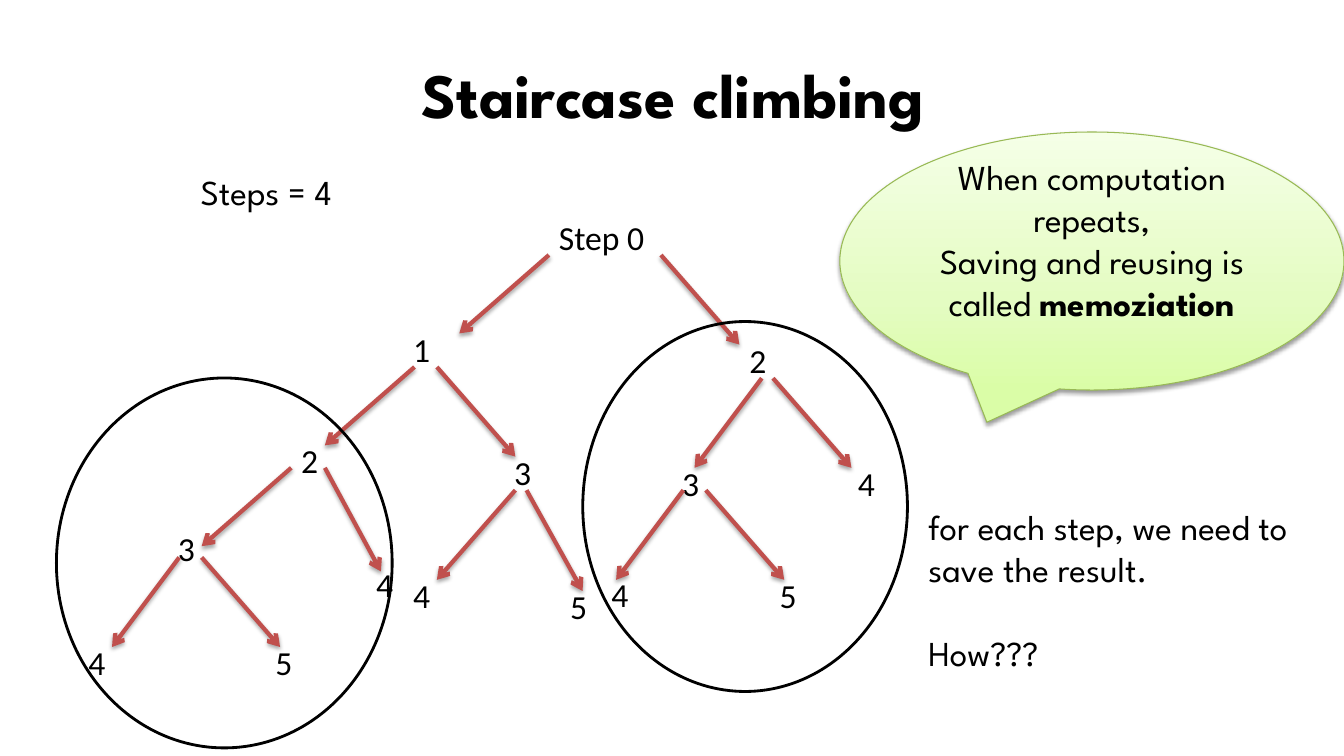
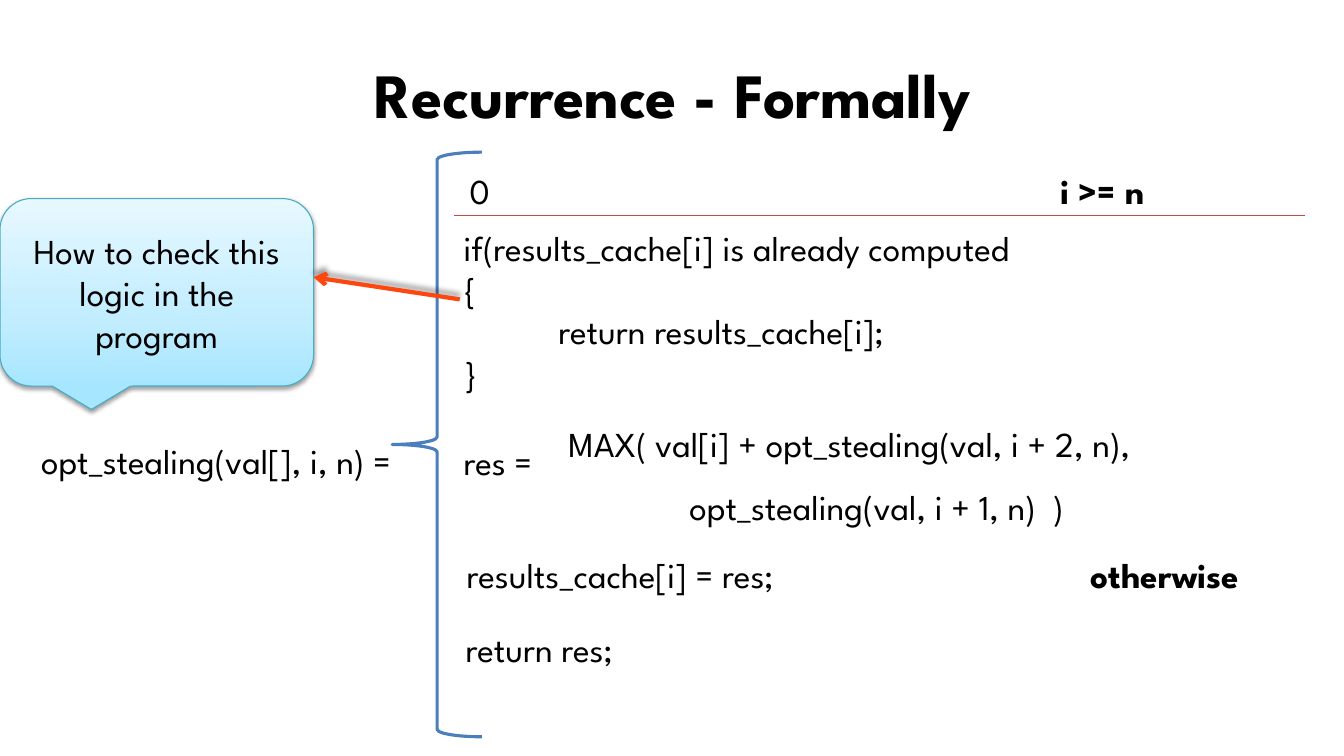
"""Build two lecture slides on memoization: a call tree and a recurrence."""
from lxml.etree import SubElement
from copy import deepcopy
from pptx import Presentation
from pptx.dml.color import RGBColor
from pptx.enum.shapes import MSO_CONNECTOR, MSO_SHAPE
from pptx.enum.text import MSO_ANCHOR, PP_ALIGN
from pptx.oxml.ns import qn
from pptx.util import Inches, Pt

BLACK = RGBColor(0x00, 0x00, 0x00)
RED = RGBColor(0xC0, 0x50, 0x4D)
RULE_RED = RGBColor(0xBF, 0x4C, 0x48)
ORANGE = RGBColor(0xFD, 0x47, 0x0F)
BRACE_BLUE = RGBColor(0x4B, 0x7E, 0xBC)
GREEN_EDGE = RGBColor(0x98, 0xB9, 0x55)
TEAL_EDGE = RGBColor(0x46, 0xAA, 0xC5)
GREENS = [RGBColor(0xDA, 0xFD, 0xA7), RGBColor(0xE4, 0xFC, 0xC2), RGBColor(0xF5, 0xFF, 0xE7)]
TEALS = [RGBColor(0xA7, 0xE6, 0xFF), RGBColor(0xC1, 0xED, 0xFF), RGBColor(0xE7, 0xF8, 0xFF)]
GRADIENT_POSITIONS = [0, 0.35, 1]

HEADING_FONT = "League Spartan"
NODE_FONT = "Calibri"
TITLE_SIZE, BODY_SIZE, NODE_SIZE = 45, 25, 24
LINE_HEIGHT = 0.52

GRID = 1 / 9
TREE_TOP = 2.53
LABEL_RISE = 0.43

TREE = [
    ("Step 0", (49, 0), [((49, 0), (41, 7)), ((59, 0), (66, 8))]),
    ("1", (36, 10), [((37, 10), (29, 17)), ((39, 10), (46, 18))]),
    ("2", (66, 11), [((68, 11), (62, 19)), ((69, 11), (76, 19))]),
    ("2", (26, 19.9), [((26, 19), (18, 26)), ((29, 19), (34, 28.25))]),
    ("3", (45, 21), [((46, 21), (39, 29)), ((47, 21), (52, 30))]),
    ("3", (60, 22), [((61, 21), (55, 29)), ((63, 21), (70, 29))]),
    ("3", (15, 27.8), [((16, 27), (10, 35)), ((18, 27), (25, 35))]),
    ("4", (75.7, 22), []),
    ("4", (32.7, 31), []),
    ("4", (36, 32), []),
    ("4", (53.7, 31.9), []),
    ("5", (50, 33), []),
    ("5", (68.7, 32), []),
    ("4", (7, 38), []),
    ("5", (23.7, 38), []),
]
REPEATED_SUBTREES = [(0.56, 3.75, 3.33, 3.67), (5.78, 3.19, 3.22, 3.67)]
MEMO_LINES = [
    "When computation",
    "repeats,",
    [("Saving and reusing is called ", False), ("memoziation", True)],
]
SAVE_LINES = ["for each step, we need to", "save the result.", "How???"]

BASE_CASE = [[("0\t", False), ("i >= n", True)]]
MAX_LINES = ["MAX( val[i] + opt_stealing(val, i + 2, n),", "opt_stealing(val, i + 1, n)  )"]
CACHE_BODY = ["{", "return results_cache[i];", "}"]
FORMULA_PARTS = [
    ((0.31, 4.31, 4), ["opt_stealing(val[], i, n) ="]),
    ((4.5, 4.32, 1), ["res ="]),
    ((4.53, 5.44, 5.56), ["results_cache[i] = res;"]),
    ((4.52, 6.18, 5.56), ["return res;"]),
    ((10.72, 5.44, 2), [[("otherwise", True)]]),
    ((4.5, 2.2, 7.78), ["if(results_cache[i] is already computed"]),
]


def write_lines(frame, lines, font=HEADING_FONT, size=BODY_SIZE, align=PP_ALIGN.LEFT):
    """Fill a text frame with lines, each a string or a list of (text, bold)."""
    frame.word_wrap = True
    for index, line in enumerate(lines):
        paragraph = frame.paragraphs[0] if index == 0 else frame.add_paragraph()
        paragraph.alignment = align
        for text, bold in [(line, False)] if isinstance(line, str) else line:
            run = paragraph.add_run()
            run.text = text
            run.font.name, run.font.size, run.font.bold = font, Pt(size), bold
            run.font.color.rgb = BLACK
    return frame.paragraphs


def add_text(slide, left, top, width, lines, font=HEADING_FONT, size=BODY_SIZE):
    """Add a text box and return its paragraphs."""
    box = slide.shapes.add_textbox(
        Inches(left), Inches(top), Inches(width), Inches(LINE_HEIGHT * len(lines)))
    return write_lines(box.text_frame, lines, font, size)


def indent(paragraph, inches):
    """Indent a whole paragraph."""
    properties = paragraph._p.get_or_add_pPr()
    properties.set("marL", str(Inches(inches)))
    properties.set("indent", "0")


def add_tab_stop(paragraph, inches):
    """Give a paragraph one left tab stop."""
    stops = SubElement(paragraph._p.get_or_add_pPr(), qn("a:tabLst"))
    SubElement(stops, qn("a:tab"), pos=str(Inches(inches)), algn="l")


def add_shadow(shape, opacity, blur, distance, degrees):
    """Replace the theme effects of a shape or connector by one outer shadow."""
    effects = SubElement(shape._element.spPr, qn("a:effectLst"))
    shadow = SubElement(
        effects, qn("a:outerShdw"), blurRad=str(Pt(blur)), dist=str(Pt(distance)),
        dir=str(degrees * 60000), rotWithShape="0")
    color = SubElement(shadow, qn("a:srgbClr"), val=str(BLACK))
    SubElement(color, qn("a:alpha"), val=str(opacity * 1000))


def add_line(slide, start, end, color, width):
    """Add a straight connector between two points."""
    line = slide.shapes.add_connector(
        MSO_CONNECTOR.STRAIGHT, *[Inches(value) for value in (*start, *end)])
    line.line.color.rgb = color
    line.line.width = Pt(width)
    return line


def add_arrow(slide, start, end, color, shadow):
    """Add a shadowed arrow."""
    arrow = add_line(slide, start, end, color, 3)
    SubElement(arrow.line._get_or_add_ln(), qn("a:tailEnd"), type="arrow")
    add_shadow(arrow, *shadow)


def add_outline(slide, kind, area, color, width):
    """Add an unfilled, unshadowed preset shape."""
    shape = slide.shapes.add_shape(kind, *[Inches(value) for value in area])
    shape.fill.background()
    shape.line.color.rgb = color
    shape.line.width = Pt(width)
    shape.shadow.inherit = False
    return shape


def add_callout(slide, kind, area, colors, edge, lines):
    """Add a gradient callout with centred text."""
    callout = add_outline(slide, kind, area, edge, 0.75)
    callout._element.spPr.remove(callout._element.spPr.find(qn("a:effectLst")))
    callout.fill.gradient()
    callout.fill.gradient_angle = 90
    stop_list = callout._element.spPr.find(qn("a:gradFill")).find(qn("a:gsLst"))
    stop_list.append(deepcopy(stop_list[0]))
    for stop, color, position in zip(callout.fill.gradient_stops, colors, GRADIENT_POSITIONS):
        stop.color.rgb = color
        stop.position = position
    add_shadow(callout, 38, 3.1, 1.6, 90)
    callout.text_frame.vertical_anchor = MSO_ANCHOR.MIDDLE
    write_lines(callout.text_frame, lines, align=PP_ALIGN.CENTER)
    return callout


def add_titled_slide(presentation, layout, title):
    """Add a slide whose title follows the shared style."""
    slide = presentation.slides.add_slide(layout)
    write_lines(slide.shapes.title.text_frame, [[(title, True)]],
                size=TITLE_SIZE, align=PP_ALIGN.CENTER)
    return slide


def grid_point(column, row):
    """Turn tree grid units into inches."""
    return column * GRID, TREE_TOP + row * GRID


def build_staircase(slide):
    """Draw the call tree and its repeated parts."""
    for label, position, arrows in TREE:
        left, top = grid_point(*position)
        add_text(slide, left, top - LABEL_RISE, 0.6 if len(label) == 1 else 1.67,
                 [label], NODE_FONT, NODE_SIZE)
        for start, end in arrows:
            add_arrow(slide, grid_point(*start), grid_point(*end), RED, (35, 3.1, 1.8, 90))
    for area in REPEATED_SUBTREES:
        add_outline(slide, MSO_SHAPE.OVAL, area, BLACK, 2)
    callout = add_callout(slide, MSO_SHAPE.OVAL_CALLOUT, (8.33, 1.31, 5, 2.56),
                          GREENS, GREEN_EDGE, MEMO_LINES)
    callout.text_frame.margin_bottom = Inches(0.47)
    question = add_text(slide, 9.11, 4.97, 4.2, SAVE_LINES)[-1]
    question.space_before = Pt(30)
    add_text(slide, 1.89, 1.64, 2.22, ["Steps = 4"])


def build_recurrence(slide):
    """Lay out the cases of the recurrence beside a brace."""
    add_outline(slide, MSO_SHAPE.LEFT_BRACE, (3.89, 1.51, 0.89, 5.8), BRACE_BLUE, 2.25)
    add_tab_stop(add_text(slide, 4.56, 1.63, 8.58, BASE_CASE)[0], 5.86)
    for (left, top, width), lines in FORMULA_PARTS:
        add_text(slide, left, top, width, lines)
    max_paragraphs = add_text(slide, 5.54, 3.93, 7.6, MAX_LINES)
    for paragraph in max_paragraphs:
        paragraph.line_spacing = 1.5
    indent(max_paragraphs[1], 1.2)
    indent(add_text(slide, 4.5, 2.61, 7.78, CACHE_BODY)[1], 0.94)
    rule = add_line(slide, (4.5, 2.14), (12.94, 2.14), RULE_RED, 0.75)
    SubElement(rule._element.spPr, qn("a:effectLst"))
    add_callout(slide, MSO_SHAPE.ROUNDED_RECTANGULAR_CALLOUT, (0, 1.97, 3.11, 1.86),
                TEALS, TEAL_EDGE, ["How to check this logic in the program"])
    add_arrow(slide, (4.56, 2.97), (3.11, 2.75), ORANGE, (40, 4, 3, 270))


def main():
    """Build and save the presentation."""
    presentation = Presentation()
    presentation.slide_width, presentation.slide_height = Inches(13.33), Inches(7.5)
    layout = presentation.slide_layouts[5]
    title = layout.placeholders[0]
    title.left, title.top, title.width, title.height = [
        Inches(value) for value in (0.67, 0.3, 12, 1.25)]
    title.text_frame.vertical_anchor = MSO_ANCHOR.MIDDLE
    build_staircase(add_titled_slide(presentation, layout, "Staircase climbing"))
    build_recurrence(add_titled_slide(presentation, layout, "Recurrence - Formally"))
    presentation.save("out.pptx")


if __name__ == "__main__":
    main()
